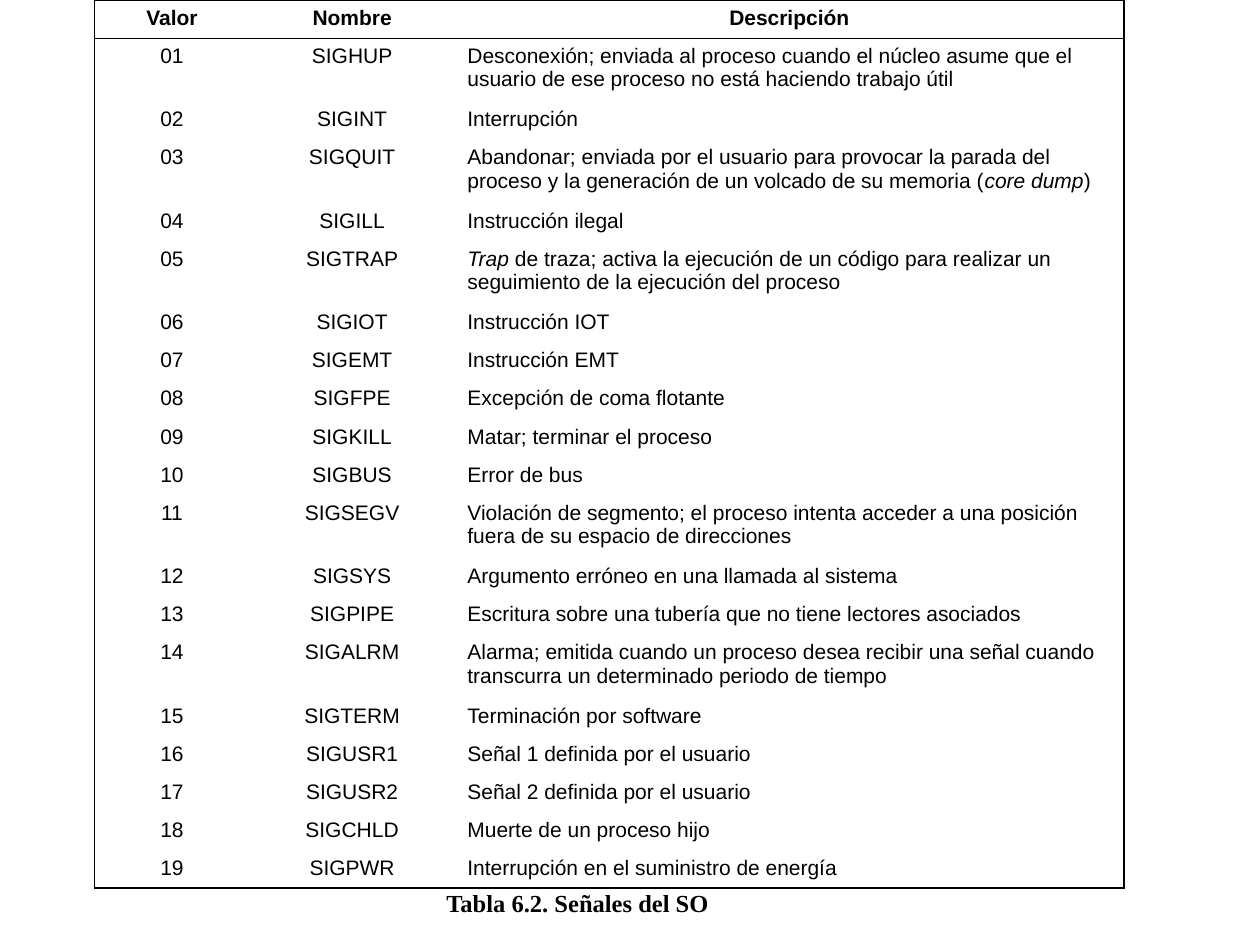
from lxml.etree import SubElement
from pptx import Presentation
from pptx.dml.color import RGBColor
from pptx.enum.text import MSO_AUTO_SIZE, PP_ALIGN
from pptx.oxml.ns import qn
from pptx.util import Inches, Pt

BLACK = RGBColor(0x00, 0x00, 0x00)
WHITE = RGBColor(0xFF, 0xFF, 0xFF)
FRAME, RULE = Pt(1.08), Pt(0.45)
COLUMN_WIDTHS = (1.23, 1.63, 5.31)
TABLE_HEIGHT = 7.05
ONE_LINE, TWO_LINES = 3, 5
LONG_TEXT = 70

HEADER = ("Valor", "Nombre", "Descripción")
SIGNALS = [
    ("SIGHUP", ["Desconexión; enviada al proceso cuando el núcleo asume que el "
                "usuario de ese proceso no está haciendo trabajo útil"]),
    ("SIGINT", ["Interrupción"]),
    ("SIGQUIT", ["Abandonar; enviada por el usuario para provocar la parada del "
                 "proceso y la generación de un volcado de su memoria (",
                 "core dump", ")"]),
    ("SIGILL", ["Instrucción ilegal"]),
    ("SIGTRAP", ["Trap ", "de traza; activa la ejecución de un código para realizar "
                 "un seguimiento de la ejecución del proceso"]),
    ("SIGIOT", ["Instrucción IOT"]),
    ("SIGEMT", ["Instrucción EMT"]),
    ("SIGFPE", ["Excepción de coma flotante"]),
    ("SIGKILL", ["Matar; terminar el proceso"]),
    ("SIGBUS", ["Error de bus"]),
    ("SIGSEGV", ["Violación de segmento; el proceso intenta acceder a una posición "
                 "fuera de su espacio de direcciones"]),
    ("SIGSYS", ["Argumento erróneo en una llamada al sistema"]),
    ("SIGPIPE", ["Escritura sobre una tubería que no tiene lectores asociados"]),
    ("SIGALRM", ["Alarma; emitida cuando un proceso desea recibir una señal cuando "
                 "transcurra un determinado periodo de tiempo"]),
    ("SIGTERM", ["Terminación por software"]),
    ("SIGUSR1", ["Señal 1 definida por el usuario"]),
    ("SIGUSR2", ["Señal 2 definida por el usuario"]),
    ("SIGCHLD", ["Muerte de un proceso hijo"]),
    ("SIGPWR", ["Interrupción en el suministro de energía"]),
]
ITALICS = ("core dump", "Trap ")


def write(p, runs, font, size, bold, align):
    p.alignment = align
    p.font.name = font
    p.font.size = Pt(size)
    p.font.bold = bold
    p.font.color.rgb = BLACK
    for text in runs:
        r = p.add_run()
        r.text = text
        if text in ITALICS:
            r.font.italic = True


def set_borders(cell, widths):
    tc_pr = cell._tc.get_or_add_tcPr()
    for i, (side, width) in enumerate(widths.items()):
        ln = tc_pr.makeelement(qn(f"a:ln{side}"), {"w": str(width)})
        if width:
            fill = SubElement(ln, qn("a:solidFill"))
            SubElement(fill, qn("a:srgbClr"), val=str(BLACK))
        else:
            SubElement(ln, qn("a:noFill"))
        tc_pr.insert(i, ln)


def add_signal_table(slide):
    rows = [[[title] for title in HEADER]]
    rows += [[[f"{n:02d}"], [name], runs] for n, (name, runs) in enumerate(SIGNALS, 1)]
    units = [TWO_LINES if len("".join(row[2])) > LONG_TEXT else ONE_LINE for row in rows]
    last_row, last_col = len(rows) - 1, len(HEADER) - 1

    table = slide.shapes.add_table(
        len(rows), len(HEADER), Inches(0.75), 0,
        Inches(sum(COLUMN_WIDTHS)), Inches(TABLE_HEIGHT)).table
    table.first_row = table.horz_banding = False
    for column, width in zip(table.columns, COLUMN_WIDTHS):
        column.width = Inches(width)

    for i, row in enumerate(rows):
        table.rows[i].height = Inches(TABLE_HEIGHT * units[i] / sum(units))
        for j, runs in enumerate(row):
            cell = table.cell(i, j)
            cell.fill.solid()
            cell.fill.fore_color.rgb = WHITE
            left_aligned = i > 0 and j == last_col
            write(cell.text_frame.paragraphs[0], runs, "Arial", 12, i == 0,
                  PP_ALIGN.LEFT if left_aligned else PP_ALIGN.CENTER)
            set_borders(cell, {
                "L": FRAME if j == 0 else 0,
                "R": FRAME if j == last_col else 0,
                "T": {0: FRAME, 1: RULE}.get(i, 0),
                "B": {0: RULE, last_row: FRAME}.get(i, 0),
            })


def add_caption(slide, text):
    box = slide.shapes.add_textbox(Inches(0.92), Inches(7), Inches(7.33), Inches(0.34))
    tf = box.text_frame
    tf.word_wrap = True
    tf.auto_size = MSO_AUTO_SIZE.SHAPE_TO_FIT_TEXT
    write(tf.paragraphs[0], [text], "Times New Roman", 14, True, PP_ALIGN.CENTER)


def main():
    prs = Presentation()
    prs.slide_width, prs.slide_height = Inches(10), Inches(7.5)
    slide = prs.slides.add_slide(prs.slide_layouts[6])
    add_signal_table(slide)
    add_caption(slide, "Tabla 6.2. Señales del SO")
    prs.save("out.pptx")


if __name__ == "__main__":
    main()
